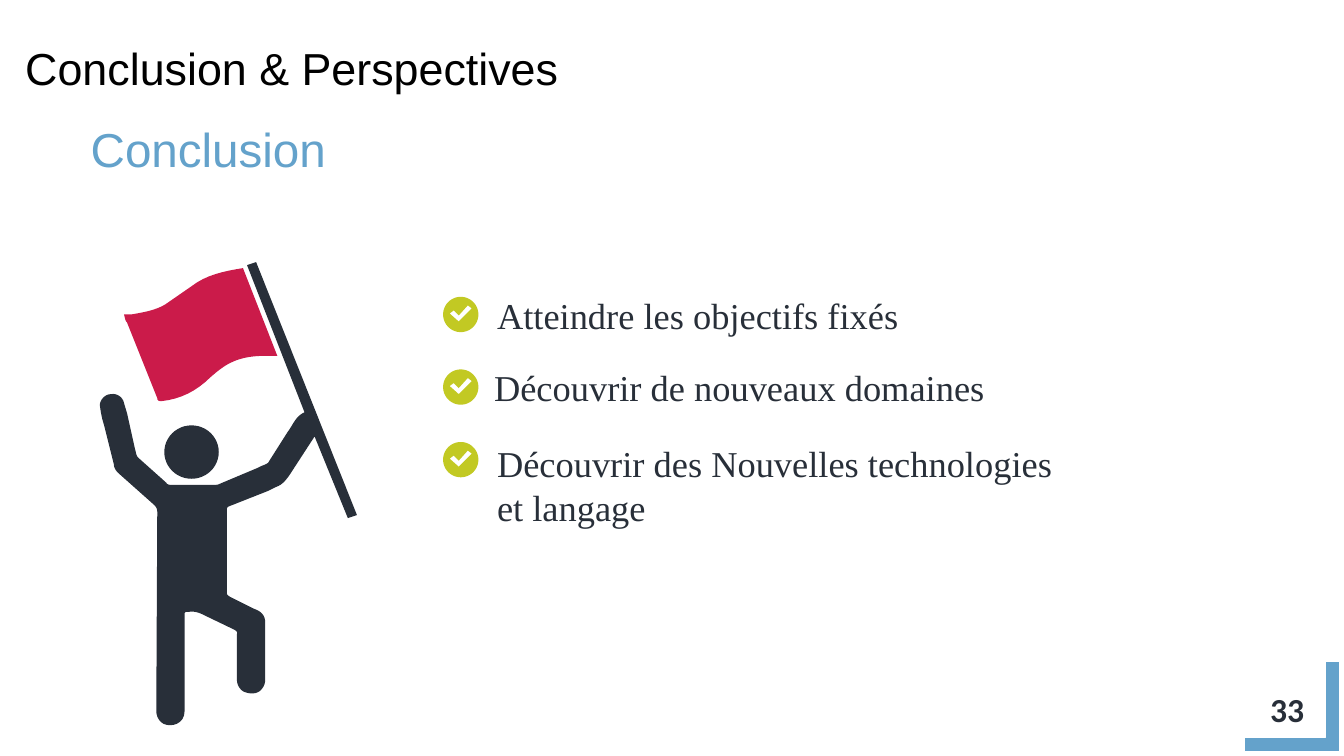
"""Build the conclusion slide with its checked list and flag bearer."""
import math

from pptx import Presentation
from pptx.dml.color import RGBColor
from pptx.enum.shapes import MSO_SHAPE
from pptx.enum.text import MSO_ANCHOR, MSO_AUTO_SIZE, PP_ALIGN
from pptx.util import Inches, Pt

HALF_FRAME, OVAL = MSO_SHAPE.HALF_FRAME, MSO_SHAPE.OVAL
TOP, MIDDLE = MSO_ANCHOR.TOP, MSO_ANCHOR.MIDDLE
LEFT, JUSTIFY = PP_ALIGN.LEFT, PP_ALIGN.JUSTIFY
GROW = MSO_AUTO_SIZE.SHAPE_TO_FIT_TEXT
COLOURS = {
    "ink": "282F39", "blue": "64A2CB", "black": "000000",
    "lime": "C2C923", "red": "CB1B4A", "white": "FFFFFF",
}
RGB = {name: RGBColor.from_string(value) for name, value in COLOURS.items()}
CURVE_STEPS = 8

presentation = Presentation()
presentation.slide_width, presentation.slide_height = Inches(13.33), Inches(7.5)
slide = presentation.slides.add_slide(presentation.slide_layouts[6])


def add_text(box, lines, font, colour, frame=None, paragraph=None):
    """Place lines of text in a box of left, top, width and height."""
    text_frame = slide.shapes.add_textbox(*map(Inches, box)).text_frame
    frame_format = {"word_wrap": True, "vertical_anchor": TOP, "margin_left": 0,
                    "margin_top": 0, "margin_right": 0, "margin_bottom": 0}
    for name, value in {**frame_format, **(frame or {})}.items():
        setattr(text_frame, name, value)
    text_frame.text = "\n".join(lines)
    for line in text_frame.paragraphs:
        for name, value in (paragraph or {}).items():
            setattr(line, name, value)
        for name, value in font.items():
            setattr(line.runs[0].font, name, value)
        line.runs[0].font.color.rgb = RGB[colour]


def draw_outline(shapes, contours, colour):
    """Fill closed contours of line ends (x, y) and cubic curves (six numbers)."""
    builder = None
    for start, *segments in contours:
        points = [start]
        for segment in segments:
            if len(segment) == 2:
                points.append(segment)
                continue
            nodes = [points[-1], segment[:2], segment[2:4], segment[4:]]
            for step in range(1, CURVE_STEPS + 1):
                t = step / CURVE_STEPS
                weights = [math.comb(3, i) * t**i * (1 - t)**(3 - i) for i in range(4)]
                points.append(tuple(sum(w * node[axis] for w, node in zip(weights, nodes))
                                    for axis in (0, 1)))
        first, *rest = [(Inches(x), Inches(y)) for x, y in points]
        if builder is None:
            builder = shapes.build_freeform(*first, scale=1.0)
        else:
            builder.move_to(*first)
        builder.add_line_segments(rest, close=True)
    outline = builder.convert_to_shape()
    outline.shadow.inherit = False
    outline.fill.solid()
    outline.fill.fore_color.rgb = RGB[colour]
    outline.line.fill.background()


add_text((12.5, 6.79, 0.54, 0.5), ["33"],
         {"name": "Calibri", "size": Pt(24), "bold": True}, "ink",
         {"word_wrap": False, "auto_size": GROW,
          "margin_left": Inches(0.1), "margin_right": Inches(0.1),
          "margin_top": Inches(0.05), "margin_bottom": Inches(0.05)})
add_text((0.9, 1.04, 13.35, 0.87), ["Conclusion"],
         {"name": "Arial", "size": Pt(34)}, "blue", {"vertical_anchor": MIDDLE})

page_corner = slide.shapes.add_shape(
    HALF_FRAME, Inches(12.37), Inches(6.54), Inches(0.89), Inches(0.94))
page_corner.rotation = 270
page_corner.adjustments[0] = page_corner.adjustments[1] = 0.16
page_corner.element.spPr.prstGeom.set("prst", "corner")
page_corner.shadow.inherit = False
page_corner.fill.solid()
page_corner.fill.fore_color.rgb = RGB["blue"]
page_corner.line.color.rgb = RGB["white"]
page_corner.line.width = Pt(0.5)

add_text((0.25, 0.24, 10.28, 0.92), ["Conclusion & Perspectives"],
         {"name": "Arial", "size": Pt(32)}, "black",
         {"vertical_anchor": MIDDLE, "margin_right": Inches(0.1),
          "margin_top": Inches(0.05), "margin_bottom": Inches(0.05)},
         {"line_spacing": 0.9})

achievements = [
    ((4.93, 2.91, 6.35, 0.4), ["Atteindre les objectifs fixés"], JUSTIFY),
    ((4.9, 3.62, 6.35, 0.4), ["Découvrir de nouveaux domaines"], JUSTIFY),
    ((4.93, 4.38, 6.83, 0.8), ["Découvrir des Nouvelles technologies", "et langage"], LEFT),
]
tick = [(0.07, -0.09), (-0.02, 0.01), (-0.07, -0.04),
        (-0.11, -0.01), (-0.02, 0.07), (0.11, -0.06)]
disc = [(0.175 * math.cos(math.radians(angle)), 0.175 * math.sin(math.radians(angle)))
        for angle in range(0, 360, 6)]
for row, (box, lines, alignment) in enumerate(achievements):
    add_text(box, lines, {"name": "Times New Roman", "size": Pt(26)}, "ink",
             paragraph={"alignment": alignment})
    centre_x, centre_y = 4.57, 3.12 + 0.72 * row
    badge = [[(centre_x + x, centre_y + y) for x, y in part] for part in (tick, disc)]
    draw_outline(slide.shapes, badge, "lime")

body_and_pole = [
    (3.12, 4.33), (3.45, 5.14), (3.54, 5.11), (2.54, 2.6), (2.45, 2.63), (3.02, 4.09),
    (2.93, 4.13, 2.91, 4.21, 2.85, 4.29), (2.66, 4.59),
    (2.64, 4.61, 2.59, 4.62, 2.56, 4.64), (2.18, 4.8),
    (2.16, 4.81, 2.15, 4.81, 2.13, 4.81), (1.69, 4.81),
    (1.67, 4.81, 1.65, 4.8, 1.65, 4.79), (1.37, 4.54),
    (1.35, 4.52, 1.35, 4.49, 1.34, 4.46), (1.26, 4.1), (1.23, 4),
    (1.22, 3.94, 1.16, 3.9, 1.1, 3.91), (1.04, 3.91, 0.99, 3.97, 0.99, 4.02),
    (1, 4.09, 1.01, 4.15, 1.03, 4.21), (1.13, 4.61),
    (1.13, 4.64, 1.15, 4.67, 1.17, 4.69), (1.53, 5.01),
    (1.55, 5.03, 1.56, 5.05, 1.56, 5.08), (1.55, 7.05),
    (1.55, 7.1, 1.57, 7.15, 1.62, 7.18), (1.7, 7.22, 1.83, 7.18, 1.83, 7.06),
    (1.83, 6.12), (1.83, 6.07, 1.83, 6.07, 1.87, 6.07),
    (1.95, 6.06, 2, 6.09, 2.06, 6.12), (2.33, 6.25),
    (2.34, 6.26, 2.36, 6.27, 2.35, 6.29), (2.35, 6.75),
    (2.35, 6.8, 2.39, 6.86, 2.44, 6.87), (2.5, 6.89, 2.57, 6.88, 2.6, 6.83),
    (2.62, 6.81, 2.63, 6.77, 2.63, 6.75), (2.63, 6.17),
    (2.63, 6.1, 2.58, 6.06, 2.52, 6.04), (2.28, 5.92),
    (2.25, 5.9, 2.25, 5.9, 2.25, 5.87), (2.25, 5.07),
    (2.25, 5.04, 2.25, 5.03, 2.28, 5.02), (2.66, 4.87), (2.74, 4.83),
    (2.8, 4.81, 2.84, 4.76, 2.88, 4.7),
]
flag = [
    (2.75, 3.53), (2.41, 2.66), (2.22, 2.69, 2.04, 2.73, 1.9, 2.84), (1.64, 3.02),
    (1.54, 3.08, 1.42, 3.1, 1.3, 3.12), (1.23, 3.12),
    (1.24, 3.15, 1.24, 3.18, 1.26, 3.2), (1.56, 3.95),
    (1.56, 3.97, 1.57, 3.98, 1.6, 3.98), (1.79, 3.96, 1.95, 3.88, 2.09, 3.74),
    (2.16, 3.68, 2.23, 3.62, 2.33, 3.58), (2.43, 3.54, 2.53, 3.53, 2.65, 3.53),
]
flag_bearer = slide.shapes.add_group_shape()
draw_outline(flag_bearer.shapes, [body_and_pole], "ink")
draw_outline(flag_bearer.shapes, [flag], "red")
head = flag_bearer.shapes.add_shape(
    OVAL, Inches(1.63), Inches(4.22), Inches(0.54), Inches(0.53))
head.shadow.inherit = False
head.fill.solid()
head.fill.fore_color.rgb = RGB["ink"]
head.line.fill.background()

presentation.save("out.pptx")
